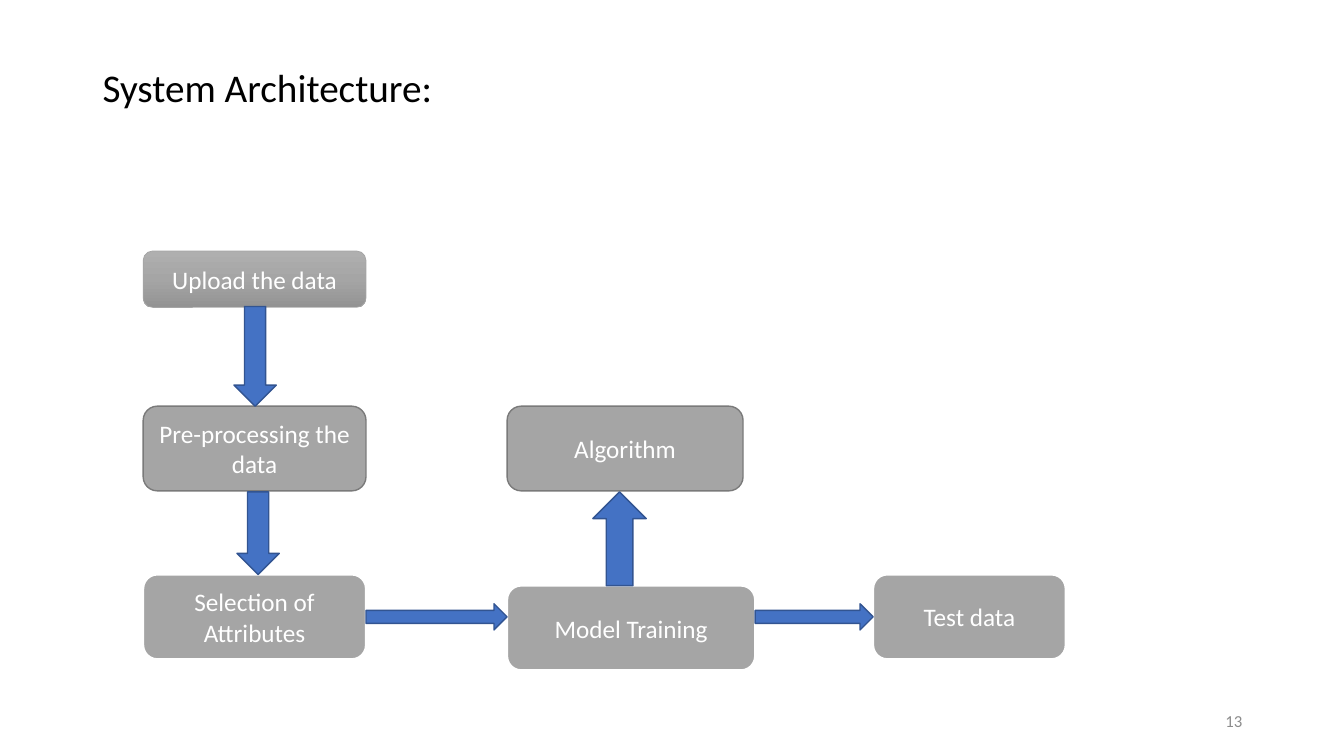
import copy

import pptx
import pptx.dml.color
import pptx.enum.shapes
import pptx.enum.text
import pptx.util

Inches = pptx.util.Inches
Pt = pptx.util.Pt
SHAPE = pptx.enum.shapes.MSO_SHAPE
ALIGN = pptx.enum.text.PP_ALIGN
ANCHOR = pptx.enum.text.MSO_ANCHOR


def set_color(color_format, color):
    color_format.rgb = pptx.dml.color.RGBColor.from_string(color)


def write_text(shape, text, size=18, color="FFFFFF", align=ALIGN.CENTER,
               anchor=ANCHOR.MIDDLE, line_spacing=1.0):
    frame = shape.text_frame
    frame.word_wrap = True
    frame.vertical_anchor = anchor
    paragraph = frame.paragraphs[0]
    paragraph.alignment = align
    paragraph.line_spacing = line_spacing
    run = paragraph.add_run()
    run.text = text
    run.font.name = "Calibri"
    run.font.size = Pt(size)
    set_color(run.font.color, color)


presentation = pptx.Presentation()
presentation.slide_width = Inches(13.33)
presentation.slide_height = Inches(7.5)
slide = presentation.slides.add_slide(presentation.slide_layouts[6])

page_number = slide.shapes.add_textbox(Inches(9.42), Inches(6.95), Inches(3), Inches(0.4))
write_text(page_number, "13", size=12, color="8C8C8C", align=ALIGN.RIGHT)

title = slide.shapes.add_textbox(Inches(0.92), Inches(0.63), Inches(11.5), Inches(6.87))
write_text(title, "System Architecture:", size=28, color="000000", align=ALIGN.LEFT,
           anchor=ANCHOR.TOP, line_spacing=0.9)

# Flow steps: text, left, top, width, height, line colour, line width
left_column, middle_column, right_column = 1.42, 5.03, 8.66
steps = [
    ("Upload the data", left_column, 2.49, 2.21, 0.56, "A5A5A5", 0.5),
    ("Pre-processing the data", left_column, 4.03, 2.21, 0.84, "7A7A7A", 1),
    ("Selection of Attributes", left_column, 5.7, 2.21, 0.84, "FFFFFF", 1.5),
    ("Algorithm", middle_column, 4.03, 2.34, 0.84, "7A7A7A", 1),
    ("Model Training", middle_column, 5.81, 2.46, 0.84, "FFFFFF", 1.5),
    ("Test data", right_column, 5.7, 1.91, 0.84, "FFFFFF", 1.5),
]
step_boxes = {}
for text, left, top, width, height, line_color, line_width in steps:
    box = slide.shapes.add_shape(SHAPE.ROUNDED_RECTANGLE, Inches(left), Inches(top),
                                 Inches(width), Inches(height))
    box.shadow.inherit = False
    box.fill.solid()
    set_color(box.fill.fore_color, "A5A5A5")
    set_color(box.line.color, line_color)
    box.line.width = Pt(line_width)
    write_text(box, text)
    step_boxes[text] = box

# The first step is shaded from top to bottom with three stops
upload_fill = step_boxes["Upload the data"].fill
upload_fill.gradient()
upload_fill.gradient_angle = 270
stop_list = upload_fill._fill._gradFill.gsLst
stop_list.insert(1, copy.deepcopy(stop_list[0]))
shades = [(0, "AFAFAF"), (0.5, "A5A5A5"), (1, "939393")]
for stop, (position, color) in zip(upload_fill.gradient_stops, shades):
    stop.position = position
    set_color(stop.color, color)

# Arrows: preset, left, top, width, height, rotation
arrows = [
    (SHAPE.DOWN_ARROW, 2.32, 3.04, 0.42, 0.99, 0),
    (SHAPE.DOWN_ARROW, 2.35, 4.88, 0.42, 0.82, 0),
    (SHAPE.RIGHT_ARROW, 3.63, 5.99, 1.4, 0.26, 0),
    (SHAPE.DOWN_ARROW, 5.88, 4.88, 0.53, 0.93, 180),
    (SHAPE.RIGHT_ARROW, 7.49, 5.99, 1.17, 0.26, 0),
]
for preset, left, top, width, height, rotation in arrows:
    arrow = slide.shapes.add_shape(preset, Inches(left), Inches(top),
                                   Inches(width), Inches(height))
    arrow.shadow.inherit = False
    arrow.rotation = rotation
    arrow.fill.solid()
    set_color(arrow.fill.fore_color, "4472C4")
    set_color(arrow.line.color, "325491")
    arrow.line.width = Pt(1)

presentation.save("out.pptx")
